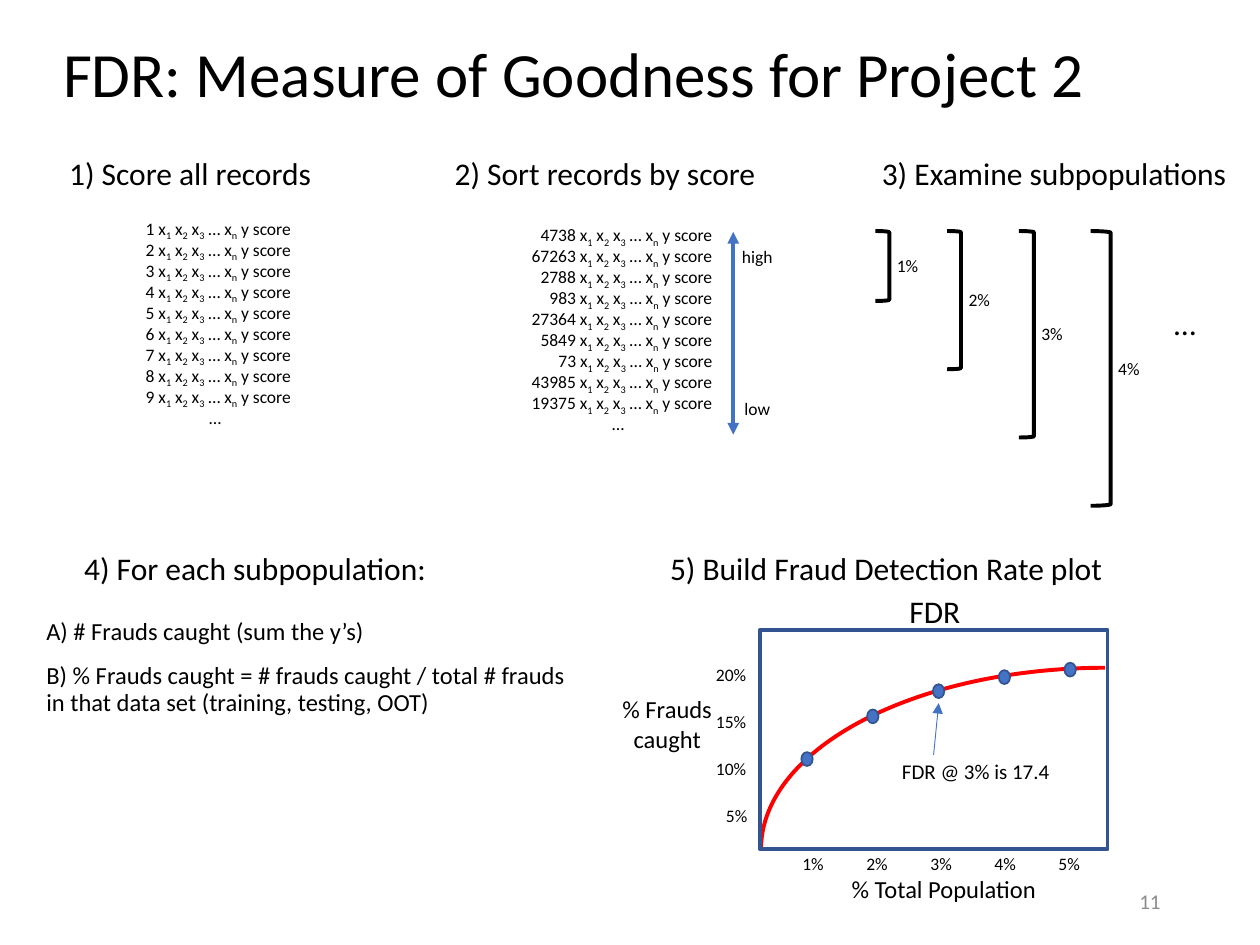
from dataclasses import dataclass
from typing import Optional

from lxml.etree import SubElement
from pptx import Presentation
from pptx.dml.color import RGBColor
from pptx.enum.shapes import MSO_CONNECTOR as Connector, MSO_SHAPE as Preset
from pptx.enum.text import MSO_ANCHOR as Anchor, MSO_AUTO_SIZE as AutoSize, PP_ALIGN as Align
from pptx.oxml.ns import qn
from pptx.util import Pt

BLACK = RGBColor(0x00, 0x00, 0x00)
GRAY = RGBColor(0x8C, 0x8C, 0x8C)
BLUE = RGBColor(0x44, 0x72, 0xC4)
NAVY = RGBColor(0x32, 0x54, 0x91)
RED = RGBColor(0xFF, 0x00, 0x00)
FONT = "Calibri"
SMALL_HEIGHT = 19.4
ROW_STEP = 12
SCORE_PARTS = [(" x", "1"), (" x", "2"), (" x", "3"), (" … x", "n"), (" y score", "")]


@dataclass
class Area:
    left: float
    top: float
    width: float
    height: float

    def lengths(self) -> tuple:
        return Pt(self.left), Pt(self.top), Pt(self.width), Pt(self.height)


@dataclass
class Label:
    text: str
    area: Area
    size: float
    wrap: bool = False
    align: Align = Align.LEFT


@dataclass
class RecordList:
    numbers: list
    right: float
    top: float
    dots_left: float


@dataclass
class Arrow:
    start: tuple
    end: tuple
    width: float
    both_ends: bool = False


HEADINGS = [
    Label("1) Score all records", Area(32.4, 84.2, 165, 51), 18, True),
    Label("2) Sort records by score", Area(252.7, 84.2, 196.6, 51), 18, True),
    Label("3) Examine subpopulations", Area(496.8, 84.2, 218, 51), 18, True),
    Label("4) For each subpopulation:", Area(41, 310.3, 231, 51), 18, True),
    Label("5) Build Fraud Detection Rate plot", Area(375.8, 310.3, 310.3, 51), 18, True),
]
NOTES = [
    Label("high", Area(416.9, 136.8, 32.4, SMALL_HEIGHT), 10),
    Label("low", Area(418.3, 223.9, 29.5, SMALL_HEIGHT), 10),
    Label("…", Area(663.8, 169.9, 27.4, 29), 18),
]
PLOT_TEXTS = [
    Label("FDR", Area(512.6, 334.8, 43.9, 29), 18),
    Label("% Total Population", Area(479.5, 496.1, 121, 24.5), 14),
    Label("% Frauds caught", Area(344.9, 393.1, 72.7, 41), 14, True, Align.CENTER),
    Label("FDR @ 3% is 17.4", Area(508.3, 429.8, 100, 21.6), 12),
]
RECORDS = [
    RecordList(list(range(1, 10)), 177.1, 121, 112.4),
    RecordList([4738, 67263, 2788, 983, 27364, 5849, 73, 43985, 19375], 418, 124.6, 342.8),
]
SORT_ARROW = Arrow((419, 132.5), (419, 248.4), 2.25, True)
FDR_ARROW = Arrow((533.5, 431.3), (536.4, 401.8), 0.5)
BRACKET_WIDTHS = [8, 8, 8.6, 11.5]
DOT_TOPS = [429.8, 405.4, 391, 383, 378.7]


def style(paragraph, size: float, color: RGBColor = BLACK) -> None:
    for span in paragraph.runs:
        span.font.name = FONT
        span.font.size = Pt(size)
        span.font.color.rgb = color


def add_frame(page, area: Area, wrap: bool):
    frame = page.shapes.add_textbox(*area.lengths()).text_frame
    frame.word_wrap = wrap
    frame.auto_size = AutoSize.NONE if wrap else AutoSize.SHAPE_TO_FIT_TEXT
    return frame


def add_label(page, label: Label, color: RGBColor = BLACK) -> None:
    frame = add_frame(page, label.area, label.wrap)
    frame.text = label.text
    para = frame.paragraphs[0]
    para.alignment = label.align
    style(para, label.size, color)


def add_records(page, records: RecordList) -> None:
    for row, number in enumerate(records.numbers):
        width = 95.8 + 5.1 * len(str(number))
        area = Area(records.right - width, records.top + row * ROW_STEP, width, SMALL_HEIGHT)
        para = add_frame(page, area, False).paragraphs[0]
        para.add_run().text = str(number)
        for base, subscript in SCORE_PARTS:
            para.add_run().text = base
            if subscript:
                span = para.add_run()
                span.text = subscript
                span._r.get_or_add_rPr().set("baseline", "-25000")
        style(para, 10)
    dots_top = records.top + len(records.numbers) * ROW_STEP
    add_label(page, Label("…", Area(records.dots_left, dots_top, 23.7, SMALL_HEIGHT), 10))


def add_outline(page, preset: Preset, area: Area, color: RGBColor, width: float,
                fill: Optional[RGBColor] = None):
    shape = page.shapes.add_shape(preset, *area.lengths())
    shape.shadow.inherit = False
    shape.line.color.rgb = color
    shape.line.width = Pt(width)
    if fill is None:
        shape.fill.background()
    else:
        shape.fill.solid()
        shape.fill.fore_color.rgb = fill
    return shape


def add_arrow(page, arrow: Arrow) -> None:
    points = [Pt(value) for value in arrow.start + arrow.end]
    connector = page.shapes.add_connector(Connector.STRAIGHT, *points)
    connector.line.color.rgb = BLUE
    connector.line.width = Pt(arrow.width)
    line = connector.line._get_or_add_ln()
    for end in ["headEnd", "tailEnd"] if arrow.both_ends else ["tailEnd"]:
        SubElement(line, qn(f"a:{end}"), type="triangle")
    SubElement(connector._element.spPr, qn("a:effectLst"))


def add_title(page) -> None:
    title = page.shapes.title
    title.left, title.top, title.width, title.height = Area(28.8, 31.7, 661.7, 25.2).lengths()
    frame = title.text_frame
    frame.text = "FDR: Measure of Goodness for Project 2"
    frame.auto_size = AutoSize.NONE
    frame.vertical_anchor = Anchor.MIDDLE
    para = frame.paragraphs[0]
    para.alignment = Align.LEFT
    para.line_spacing = 0.9
    style(para, 36)


def add_brackets(page) -> None:
    for index, width in enumerate(BRACKET_WIDTHS):
        area = Area(500.2 + 41 * index, 132, width, 40 + 39 * index)
        add_outline(page, Preset.RIGHT_BRACKET, area, BLACK, 2.25)
        label_top = area.top + (area.height - SMALL_HEIGHT) / 2
        label_area = Area(area.left + width - 2.8, label_top, 26.6, SMALL_HEIGHT)
        add_label(page, Label(f"{index + 1}%", label_area, 10))


def add_steps(page) -> None:
    frame = add_frame(page, Area(19.4, 350.6, 317.5, 70.6), True)
    frame.text = ("A) # Frauds caught (sum the y’s)\n"
                  "B) % Frauds caught = # frauds caught / total # frauds "
                  "in that data set (training, testing, OOT)")
    for para in frame.paragraphs:
        para.line_spacing = 0.9
        style(para, 14)
    frame.paragraphs[1].space_before = Pt(10)


def add_plot(page) -> None:
    curve = add_outline(page, Preset.ARC, Area(434.9, 381.6, 393.1, 207.4), RED, 2.25)
    curve.adjustments[0], curve.adjustments[1] = 108, 162
    add_outline(page, Preset.RECTANGLE, Area(434.2, 360, 198.7, 125.3), NAVY, 2.25)
    for label in PLOT_TEXTS:
        add_label(page, label)
    for index, dot_top in enumerate(DOT_TOPS):
        area = Area(451.4 + 36.6 * index, 483.8, 26.6, SMALL_HEIGHT)
        add_label(page, Label(f"{index + 1}%", area, 10))
        dot = Area(457.9 + 37.6 * index, dot_top, 6.5, 7.9)
        add_outline(page, Preset.OVAL, dot, NAVY, 1, BLUE)
    for index, percent in enumerate(range(5, 25, 5)):
        width = 26.6 if percent < 10 else 32.4
        area = Area(434.4 - width, 456.5 - 26.9 * index, width, SMALL_HEIGHT)
        add_label(page, Label(f"{percent}%", area, 10))
    add_arrow(page, FDR_ARROW)


def main() -> None:
    deck = Presentation()
    deck.slide_width, deck.slide_height = Pt(720), Pt(540)
    page = deck.slides.add_slide(deck.slide_layouts[5])
    add_title(page)
    for label in HEADINGS + NOTES:
        add_label(page, label)
    for records in RECORDS:
        add_records(page, records)
    add_arrow(page, SORT_ARROW)
    add_brackets(page)
    add_steps(page)
    add_plot(page)
    add_label(page, Label("11", Area(508.3, 504, 162, 21.6), 12, True, Align.RIGHT), GRAY)
    deck.save("out.pptx")


if __name__ == "__main__":
    main()
